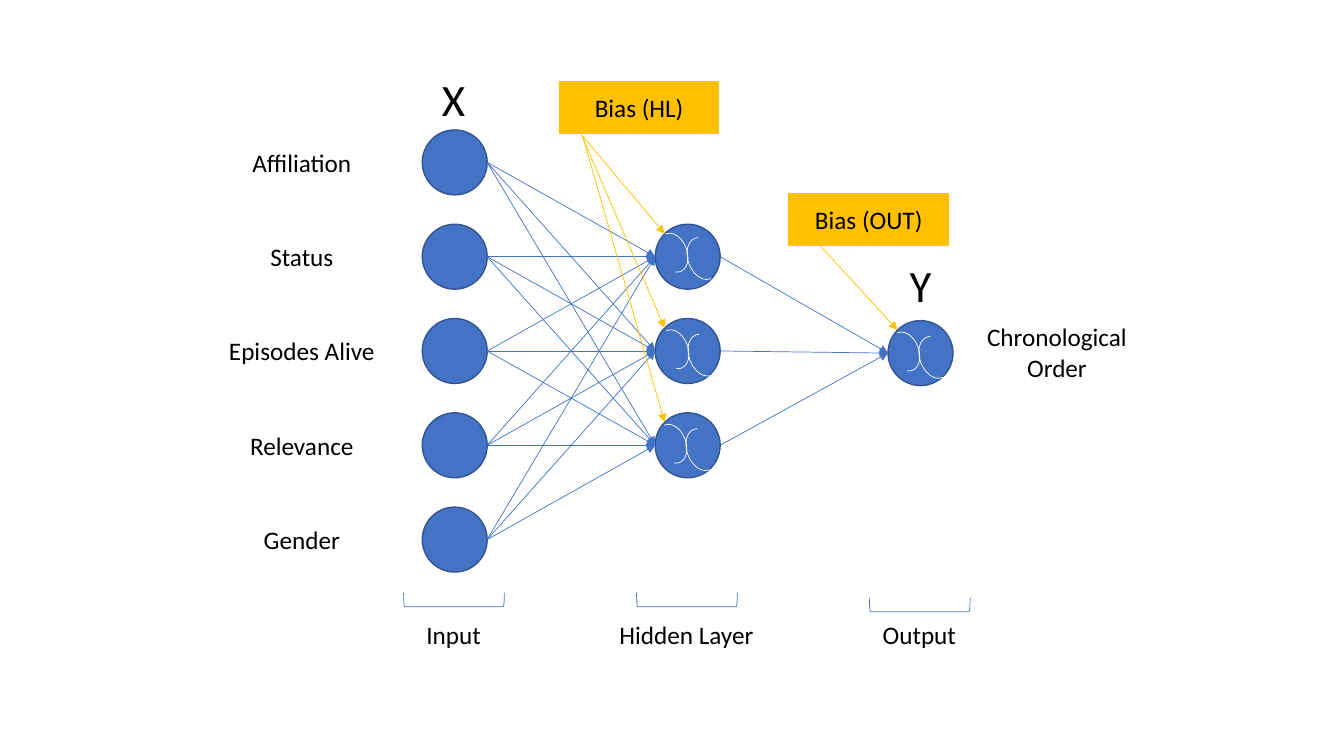
from itertools import product

from lxml import etree
from pptx import Presentation
from pptx.dml.color import RGBColor
from pptx.enum.shapes import MSO_CONNECTOR, MSO_SHAPE
from pptx.enum.text import MSO_ANCHOR, MSO_AUTO_SIZE, PP_ALIGN
from pptx.oxml.ns import qn
from pptx.util import Pt

COLORS = {"blue": "4472C4", "edge": "325491", "gold": "FFC000",
          "white": "FFFFFF", "text": "000000"}

deck = Presentation()
deck.slide_width, deck.slide_height = Pt(960), Pt(540)
page = deck.slides.add_slide(deck.slide_layouts[6])


def add_figure(kind, left, top, width, height, line, weight, fill=None):
    figure = page.shapes.add_shape(kind, Pt(left), Pt(top), Pt(width), Pt(height))
    figure.shadow.inherit = False
    figure.line.color.rgb = RGBColor.from_string(COLORS[line])
    figure.line.width = Pt(weight)
    if fill:
        figure.fill.solid()
        figure.fill.fore_color.rgb = RGBColor.from_string(COLORS[fill])
    else:
        figure.fill.background()
    return figure


def write_centered(box, text, size=18):
    box.text_frame.word_wrap = True
    para = box.text_frame.paragraphs[0]
    para.text = text
    para.alignment = PP_ALIGN.CENTER
    para.font.name = "Calibri"
    para.font.size = Pt(size)
    para.font.color.rgb = RGBColor.from_string(COLORS["text"])


# Neurons, given by their centres
diameter = 46.4
radius = diameter / 2
step = 67.35
input_x, hidden_x, output_x = 324.8, 491.2, 657.5
inputs = [(input_x, 116 + step * row) for row in range(5)]
hidden = [(hidden_x, 116 + step * row) for row in range(1, 4)]
output = (output_x, 252.2)
for x, y in inputs + hidden + [output]:
    add_figure(MSO_SHAPE.OVAL, x - radius, y - radius, diameter, diameter,
               "edge", 1, "blue")

# Bias boxes
for text, left, top in [("Bias (HL)", 399.6, 58.3), ("Bias (OUT)", 563.6, 138.4)]:
    bias = add_figure(MSO_SHAPE.RECTANGLE, left, top, 113.8, 36.7, "gold", 1, "gold")
    bias.text_frame.vertical_anchor = MSO_ANCHOR.MIDDLE
    write_centered(bias, text)

# Arrows: between layers side to side, from each bias to the upper left of a neuron
links = list(product(inputs, hidden)) + [(neuron, output) for neuron in hidden]
arrows = [("blue", x1 + radius, y1, x2 - radius, y2)
          for (x1, y1), (x2, y2) in links]
diagonal = radius * 0.71
bias_links = [((416.2, 97.2), hidden[0]), ((414.9, 95.2), hidden[1]),
              ((416.2, 97.2), hidden[2]), ((585.4, 175), output)]
arrows += [("gold", x1, y1, x2 - diagonal, y2 - diagonal)
           for (x1, y1), (x2, y2) in bias_links]
for color, *ends in arrows:
    arrow = page.shapes.add_connector(MSO_CONNECTOR.STRAIGHT, *map(Pt, ends))
    arrow.line.color.rgb = RGBColor.from_string(COLORS[color])
    arrow.line.width = Pt(0.5)
    etree.SubElement(arrow.line._get_or_add_ln(), qn("a:tailEnd"), type="triangle")
    etree.SubElement(arrow._element.spPr, qn("a:effectLst"))

# Sigmoid curves, each made of two arcs
for left, top in [(466.6, 170.8), (467.3, 239.8), (465.8, 307.3), (632.2, 241.4)]:
    for dx, dy, width, height, turn, end in [(0, 0, 28.8, 19.4, 69.1, 15.18),
                                             (19.8, 3.4, 31, 20.9, 249.4, 9.09)]:
        arc = add_figure(MSO_SHAPE.ARC, left + dx, top + dy, width, height, "white", 0.5)
        arc.rotation = turn
        # Angles are stored in 60000ths of a degree, adjustments in 100000ths
        arc.adjustments[0] = 177.6 * 0.6
        arc.adjustments[1] = end * 0.6

# Brackets under the layers
for x, y in [(input_x, 428.4), (hidden_x, 428.4), (output_x, 432)]:
    bracket = add_figure(MSO_SHAPE.LEFT_BRACKET, x - 5.5, y - 36, 10, 72, "blue", 0.5)
    bracket.rotation = 270

# Labels: text, centre, top, width, height, size
names = ["Affiliation", "Status", "Episodes Alive", "Relevance", "Gender"]
labels = [(name, 215.6, y - 14.5, 172, 29, 18) for name, (_, y) in zip(names, inputs)]
labels += [(name, x - 0.8, 438.5, 172, 29, 18) for name, x in
           [("Input", input_x), ("Hidden Layer", hidden_x), ("Output", output_x)]]
labels += [("Chronological Order", 755, 226.2, 154.8, 51, 18),
           ("X", 324, 47.5, diameter, 46, 32),
           ("Y", output_x, 180.7, diameter, 46, 32)]
for text, center, top, width, height, size in labels:
    label = page.shapes.add_textbox(Pt(center - width / 2), Pt(top), Pt(width), Pt(height))
    label.text_frame.auto_size = MSO_AUTO_SIZE.SHAPE_TO_FIT_TEXT
    write_centered(label, text, size)

deck.save("out.pptx")
